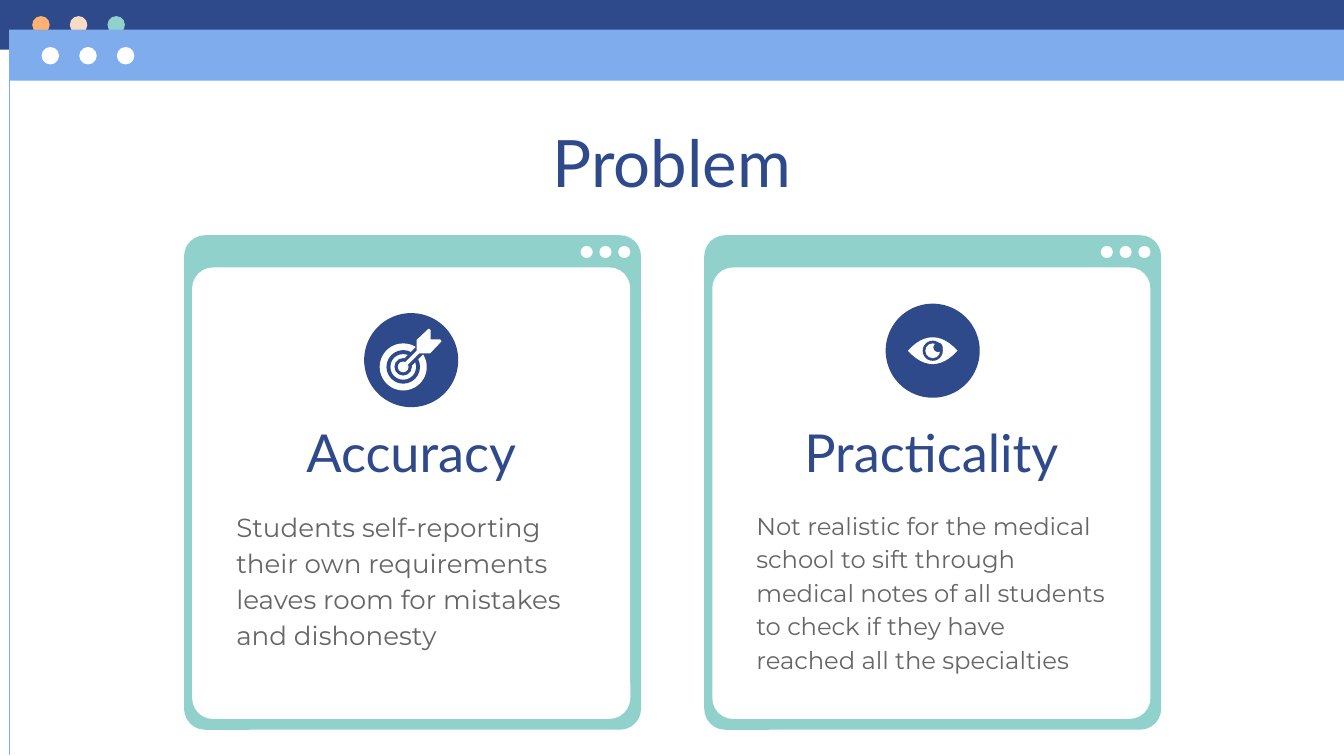
from lxml import etree
from pptx import Presentation
from pptx.dml.color import RGBColor
from pptx.enum.shapes import MSO_CONNECTOR, MSO_SHAPE
from pptx.enum.text import MSO_ANCHOR, PP_ALIGN
from pptx.oxml.ns import qn
from pptx.util import Inches, Pt

RECT, ROUND, OVAL = MSO_SHAPE.RECTANGLE, MSO_SHAPE.ROUNDED_RECTANGLE, MSO_SHAPE.OVAL
LINE = MSO_CONNECTOR.STRAIGHT
TOP, BOTTOM = MSO_ANCHOR.TOP, MSO_ANCHOR.BOTTOM
LEFT, CENTER = PP_ALIGN.LEFT, PP_ALIGN.CENTER
COLORS = {"navy": "2F4A8A", "blue": "7EACEC", "teal": "90D1CB", "orange": "FFB172",
          "peach": "F8DBC4", "white": "FFFFFF", "gray": "666666"}


def rgb(name):
    return RGBColor.from_string(COLORS[name])


def paint(shape, color):
    shape.shadow.inherit = False
    shape.fill.solid()
    shape.fill.fore_color.rgb = rgb(color)
    shape.line.fill.background()


def add_box(slide, kind, left, top, width, height, color, round_by=None):
    box = slide.shapes.add_shape(kind, Inches(left), Inches(top), Inches(width), Inches(height))
    if round_by is not None:
        box.adjustments[0] = round_by
    paint(box, color)


def add_disc(slide, x, y, radius, color):
    """Add a circle around the centre x, y."""
    add_box(slide, OVAL, x - radius, y - radius, 2 * radius, 2 * radius, color)


def add_dots(slide, left, top, step, size, colors):
    for i, color in enumerate(colors):
        add_box(slide, OVAL, left + i * step, top, size, size, color)


def add_outline(slide, points, color):
    ends = [(Inches(x), Inches(y)) for x, y in points]
    form = slide.shapes.build_freeform(*ends[0], scale=1.0)
    form.add_line_segments(ends[1:], close=True)
    paint(form.convert_to_shape(), color)


def add_line(slide, x1, y1, x2, y2, color, width):
    line = slide.shapes.add_connector(LINE, Inches(x1), Inches(y1), Inches(x2), Inches(y2))
    line.line.color.rgb = rgb(color)
    line.line.width = Pt(width)
    etree.SubElement(line._element.spPr, qn("a:effectLst"))


def add_text(slide, area, words, font, size, color, align=CENTER, anchor=TOP, body=False):
    frame = slide.shapes.add_textbox(*map(Inches, area)).text_frame
    frame.word_wrap = True
    frame.vertical_anchor = anchor
    frame.margin_left = frame.margin_right = Inches(0.1)
    frame.margin_top = frame.margin_bottom = Inches(0.1)
    para = frame.paragraphs[0]
    para.alignment = align
    if body:
        para.line_spacing = 1.15
        para.space_after = Pt(12)
    run = para.add_run()
    run.text = words
    run.font.name = font
    run.font.size = Pt(size)
    run.font.color.rgb = rgb(color)


def add_header(slide):
    """Add the two overlapping window bars and the window edge."""
    add_box(slide, RECT, 0, 0, 10, 0.37, "navy")
    add_dots(slide, 0.24, 0.12, 0.28, 0.13, ["orange", "peach", "teal"])
    add_box(slide, RECT, 0.07, 0.22, 9.93, 0.38, "blue")
    add_dots(slide, 0.31, 0.35, 0.28, 0.13, ["white"] * 3)
    add_line(slide, 0.07, 0.22, 0.07, 5.62, "blue", 0.75)


def add_card(slide, left, head, words, size):
    add_box(slide, ROUND, left, 1.75, 3.4, 3.68, "teal", 0.046)
    add_box(slide, ROUND, left + 0.06, 1.99, 3.26, 3.36, "white", 0.048)
    add_dots(slide, left + 2.95, 1.83, 0.14, 0.09, ["white"] * 3)
    add_text(slide, (left + 0.29, 3.03, 2.8, 0.51), head, "Lato", 28, "navy")
    add_text(slide, (left + 0.29, 3.67, 2.8, 0.96), words, "Montserrat", size, "gray",
             LEFT, body=True)


def add_target(slide, x, y):
    add_disc(slide, x, y, 0.35, "navy")
    hub_x, hub_y = x - 0.06, y + 0.05
    for radius, color in [(0.175, "white"), (0.125, "navy"), (0.095, "white"),
                          (0.065, "navy"), (0.04, "white")]:
        add_disc(slide, hub_x, hub_y, radius, color)
    add_line(slide, hub_x + 0.03, hub_y - 0.03, hub_x + 0.14, hub_y - 0.14, "navy", 5.5)
    # The arrow mirrors itself across its rising diagonal.
    half = [(0.01, -0.03), (0.1, -0.12), (0.1, -0.2), (0.19, -0.285), (0.205, -0.275),
            (0.205, -0.205)]
    dart = half + [(-v, -u) for u, v in reversed(half)]
    add_outline(slide, [(hub_x + u, hub_y + v) for u, v in dart], "white")


def add_eye(slide, x, y):
    add_disc(slide, x, y, 0.35, "navy")
    width, height, steps = 0.185, 0.1, 12
    spans = [2 * i / steps - 1 for i in range(steps + 1)]
    upper = [(x + width * t, y - height * (1 - t * t)) for t in spans]
    lower = [(u, 2 * y - v) for u, v in reversed(upper[1:-1])]
    add_outline(slide, upper + lower, "white")
    add_disc(slide, x, y, 0.075, "navy")
    add_disc(slide, x, y, 0.055, "white")
    add_disc(slide, x + 0.04, y - 0.025, 0.035, "navy")


def main():
    deck = Presentation()
    deck.slide_width = Inches(10)
    deck.slide_height = deck.slide_width * 9 // 16
    slide = deck.slides.add_slide(deck.slide_layouts[6])
    add_header(slide)
    add_text(slide, (2.68, 0.66, 4.64, 0.93), "Problem", "Lato", 35, "navy", anchor=BOTTOM)
    add_card(slide, 1.37, "Accuracy", "Students self-reporting their own requirements "
             "leaves room for mistakes and dishonesty", 14)
    add_card(slide, 5.24, "Practicality", "Not realistic for the medical school to sift "
             "through medical notes of all students to check if they have reached all "
             "the specialties", 13)
    add_target(slide, 3.06, 2.68)
    add_eye(slide, 6.94, 2.61)
    deck.save("out.pptx")


if __name__ == "__main__":
    main()
